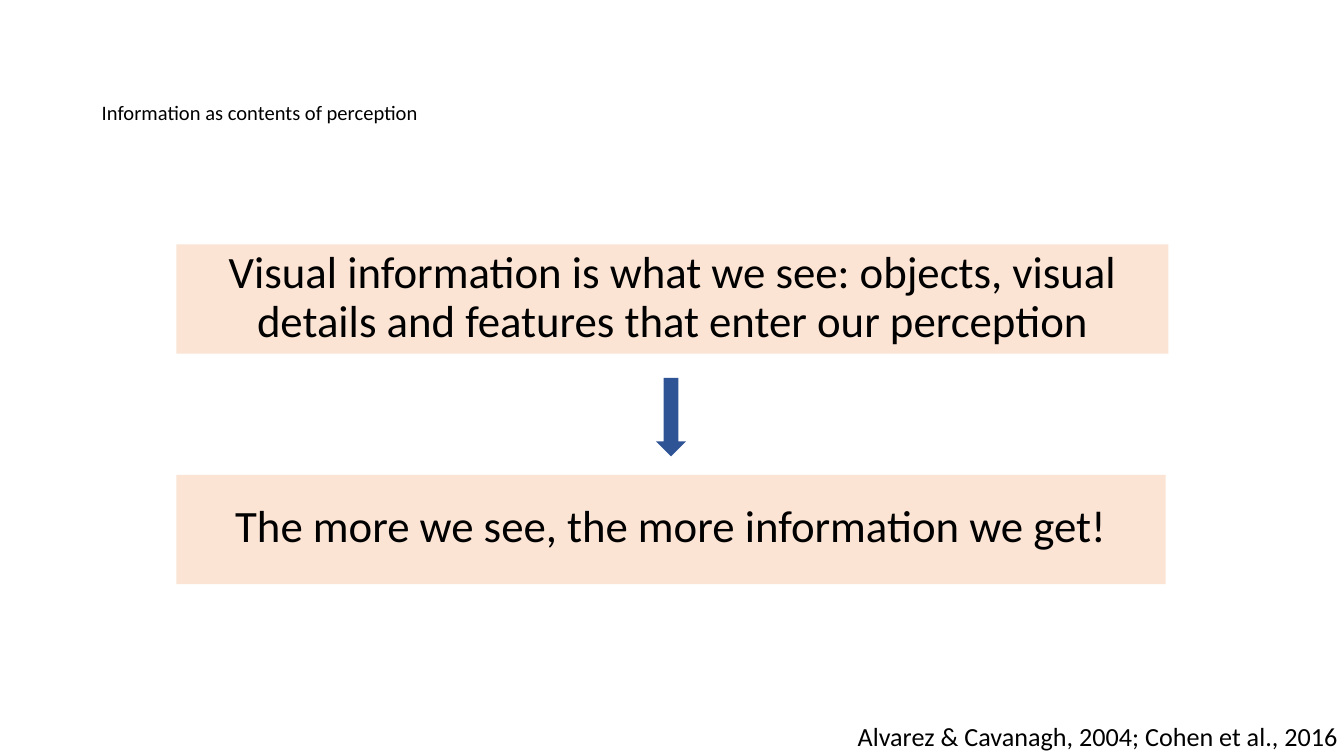
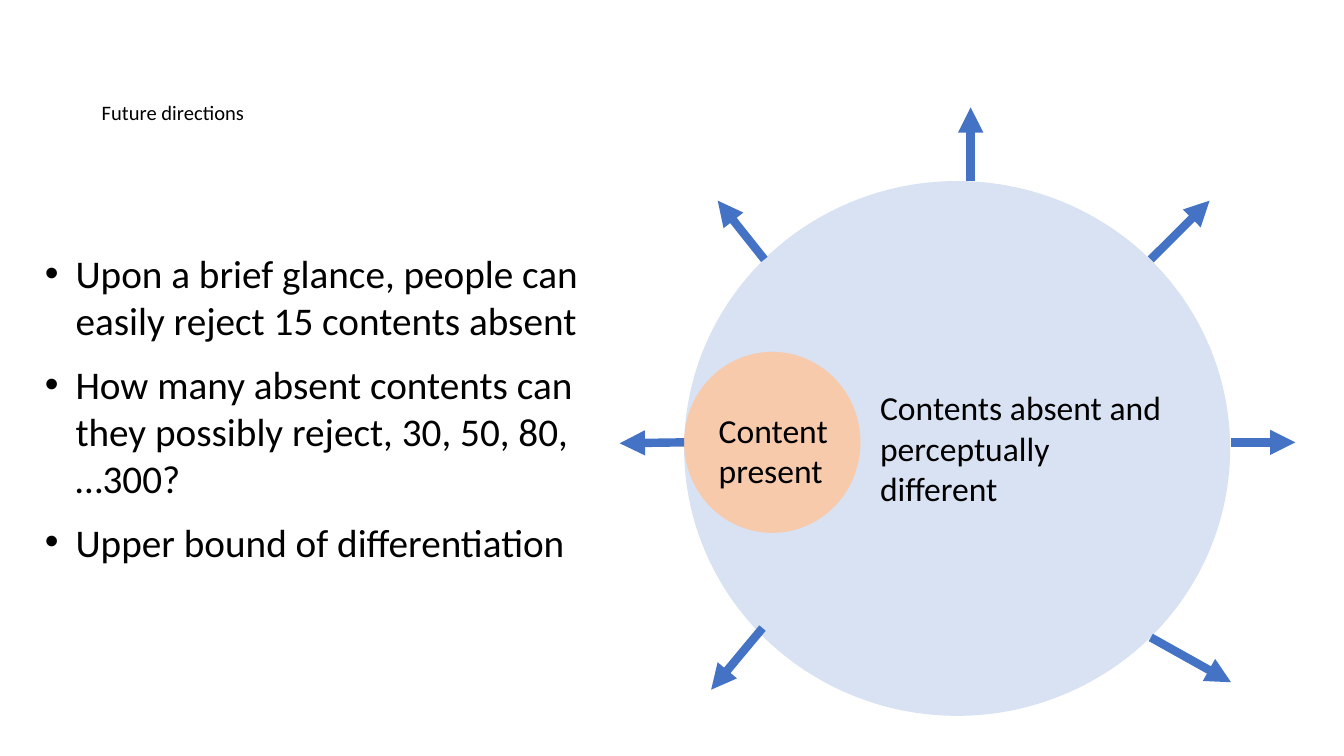
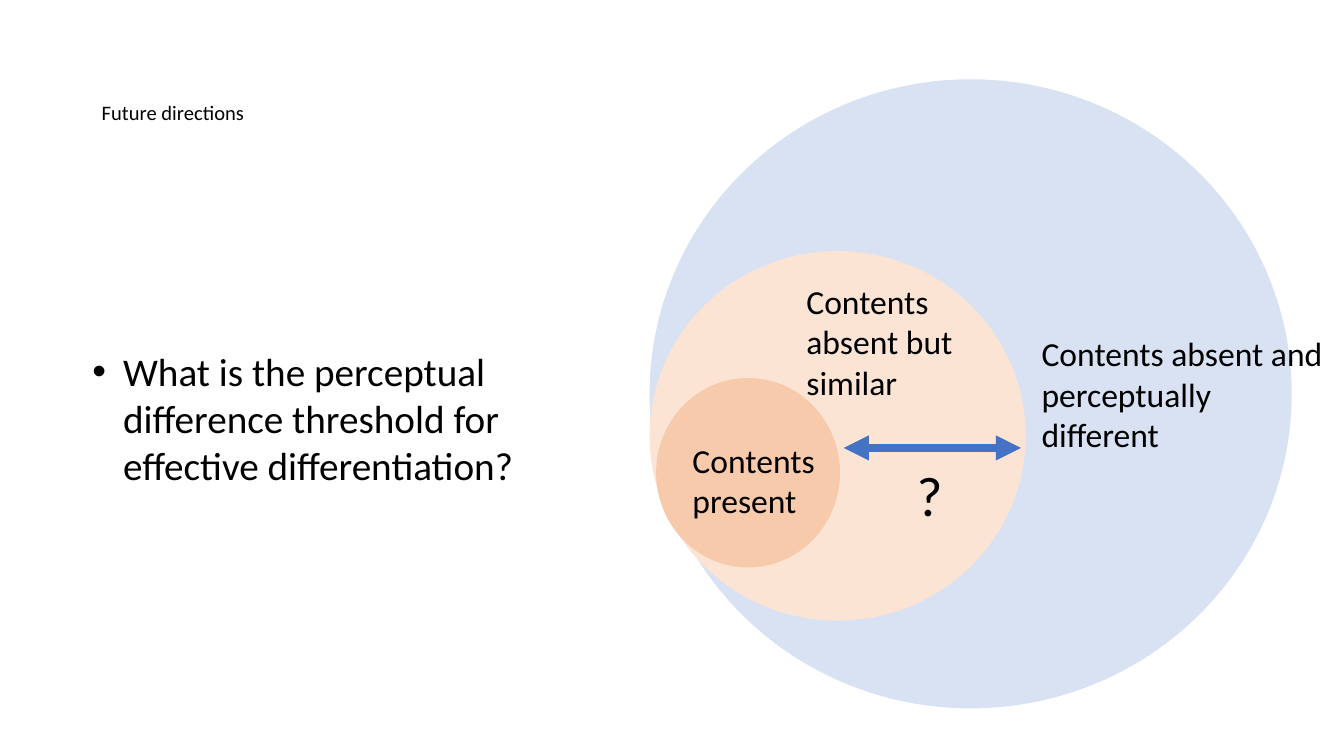
from lxml.etree import SubElement
from pptx import Presentation
from pptx.dml.color import RGBColor
from pptx.enum.shapes import MSO_CONNECTOR as Connector, MSO_SHAPE as Preset
from pptx.enum.text import MSO_ANCHOR as Anchor, MSO_AUTO_SIZE as AutoSize, PP_ALIGN as Align
from pptx.oxml.ns import qn
from pptx.util import Pt

BLACK = RGBColor(0x00, 0x00, 0x00)
PEACH = RGBColor(0xFB, 0xE4, 0xD4)
APRICOT = RGBColor(0xF7, 0xCA, 0xAC)
PALE_BLUE = RGBColor(0xD8, 0xE2, 0xF3)
BLUE = RGBColor(0x44, 0x72, 0xC4)
NAVY = RGBColor(0x2F, 0x54, 0x96)

FONT = "Calibri"
TITLE_SIZE, REFERENCE_SIZE, LABEL_SIZE = 11, 14, 18
BULLET_SIZE, STATEMENT_SIZE, QUESTION_SIZE = 21, 24, 30
TITLE_AREA = (49.5, 21.5, 621, 78.5)
STATEMENT = {"alignment": Align.CENTER, "line_spacing": 0.9}
TITLE = {"alignment": Align.LEFT, "line_spacing": 0.9}
FRAME = {
    "word_wrap": True,
    "auto_size": AutoSize.NONE,
    "margin_left": Pt(5),
    "margin_right": Pt(5),
    "margin_top": Pt(3),
    "margin_bottom": Pt(3),
}


def apply(target, values):
    for name, value in values.items():
        setattr(target, name, value)


class Deck:
    def __init__(self, width, height):
        self.presentation = Presentation()
        apply(self.presentation, {"slide_width": Pt(width), "slide_height": Pt(height)})
        self.slide = None

    def set_text(self, frame, paragraphs, size, layout=None, anchor=Anchor.TOP):
        apply(frame, {**FRAME, "vertical_anchor": anchor})
        for index, words in enumerate(paragraphs):
            paragraph = frame.add_paragraph() if index else frame.paragraphs[0]
            apply(paragraph, layout or {})
            run = paragraph.add_run()
            run.text = words
            apply(run.font, {"name": FONT, "size": Pt(size)})
            run.font.color.rgb = BLACK

    def new_slide(self, heading):
        self.slide = self.presentation.slides.add_slide(self.presentation.slide_layouts[5])
        title = self.slide.shapes.title
        apply(title, dict(zip(("left", "top", "width", "height"), map(Pt, TITLE_AREA))))
        self.set_text(title.text_frame, [heading], TITLE_SIZE, TITLE, Anchor.MIDDLE)

    def shape(self, preset, area, color, words=None):
        shape = self.slide.shapes.add_shape(preset, *map(Pt, area))
        shape.shadow.inherit = False
        shape.fill.solid()
        shape.fill.fore_color.rgb = color
        shape.line.fill.background()
        if words:
            self.set_text(shape.text_frame, [words], STATEMENT_SIZE, STATEMENT)

    def label(self, area, words, size=LABEL_SIZE):
        box = self.slide.shapes.add_textbox(*map(Pt, area))
        self.set_text(box.text_frame, [words], size)

    def bullets(self, area, points):
        frame = self.slide.shapes.add_textbox(*map(Pt, area)).text_frame
        self.set_text(frame, points, BULLET_SIZE)
        for index, paragraph in enumerate(frame.paragraphs):
            if index:
                paragraph.space_before = Pt(9)
            properties = paragraph._p.get_or_add_pPr()
            properties.set("marL", str(Pt(17)))
            properties.set("indent", str(-Pt(16.5)))
            SubElement(properties, qn("a:buFont"), typeface="Arial")
            SubElement(properties, qn("a:buChar"), char="•")

    def arrow(self, start, end, both_ends=False):
        arrow = self.slide.shapes.add_connector(Connector.STRAIGHT, *map(Pt, start + end))
        arrow.line.width = Pt(4.5)
        arrow.line.color.rgb = BLUE
        outline = arrow.line._get_or_add_ln()
        for tip in ("a:headEnd", "a:tailEnd") if both_ends else ("a:tailEnd",):
            SubElement(outline, qn(tip), type="triangle")
        SubElement(arrow._element.spPr, qn("a:effectLst"))


def perception_slide(deck):
    deck.new_slide("Information as contents of perception")
    deck.shape(Preset.RECTANGLE, (94.5, 131, 531.5, 58.5), PEACH,
               "Visual information is what we see: objects, visual details "
               "and features that enter our perception")
    deck.label((454.5, 383, 296.5, 21.5), "Alvarez & Cavanagh, 2004; Cohen et al., 2016",
               REFERENCE_SIZE)
    deck.shape(Preset.DOWN_ARROW, (351.5, 202.5, 16, 42), NAVY)
    deck.shape(Preset.RECTANGLE, (94.5, 254.5, 530, 58.5), PEACH)
    deck.shape(Preset.RECTANGLE, (98, 267, 522.5, 42), PEACH,
               "The more we see, the more information we get!")


def upper_bound_slide(deck):
    deck.new_slide("Future directions")
    deck.shape(Preset.OVAL, (366.5, 97, 292.5, 286.5), PALE_BLUE)
    deck.label((466.5, 204.5, 167, 42), "Contents absent and perceptually different")
    deck.shape(Preset.OVAL, (366.5, 188.5, 94.5, 97), APRICOT)
    deck.label((380, 216.5, 73.5, 49), "Content present")
    for rim, outside in (
        ((520, 97), (520, 57.5)),
        ((616.5, 139), (648, 107.5)),
        ((659.5, 237), (694, 237)),
        ((616.5, 341.5), (659.5, 365.5)),
        ((409.5, 139), (384.5, 107.5)),
        ((366.5, 237), (332, 237.5)),
        ((408.5, 336.5), (381, 369.5)),
    ):
        deck.arrow(rim, outside)
    deck.bullets((18.5, 130.5, 308, 211), [
        "Upon a brief glance, people can easily reject 15 contents absent",
        "How many absent contents can they possibly reject, 30, 50, 80, …300?",
        "Upper bound of differentiation",
    ])


def threshold_slide(deck):
    deck.new_slide("Future directions")
    deck.shape(Preset.OVAL, (348, 42.5, 344, 337), PALE_BLUE)
    deck.label((553, 175.5, 160.5, 70.5), "Contents absent and perceptually different")
    deck.shape(Preset.OVAL, (348, 134.5, 201.5, 198), PEACH)
    deck.label((427, 147.5, 93, 70.5), "Contents absent but similar")
    deck.shape(Preset.OVAL, (351.5, 202.5, 98.5, 101.5), APRICOT)
    deck.label((366, 232.5, 77, 49), "Contents present")
    deck.arrow((547, 240), (452, 240), both_ends=True)
    deck.label((486, 244, 34.5, 42), "?", QUESTION_SIZE)
    deck.bullets((44, 183, 257, 82), [
        "What is the perceptual difference threshold for effective differentiation?",
    ])


def main():
    deck = Deck(720, 405)
    perception_slide(deck)
    upper_bound_slide(deck)
    threshold_slide(deck)
    deck.presentation.save("out.pptx")


if __name__ == "__main__":
    main()
